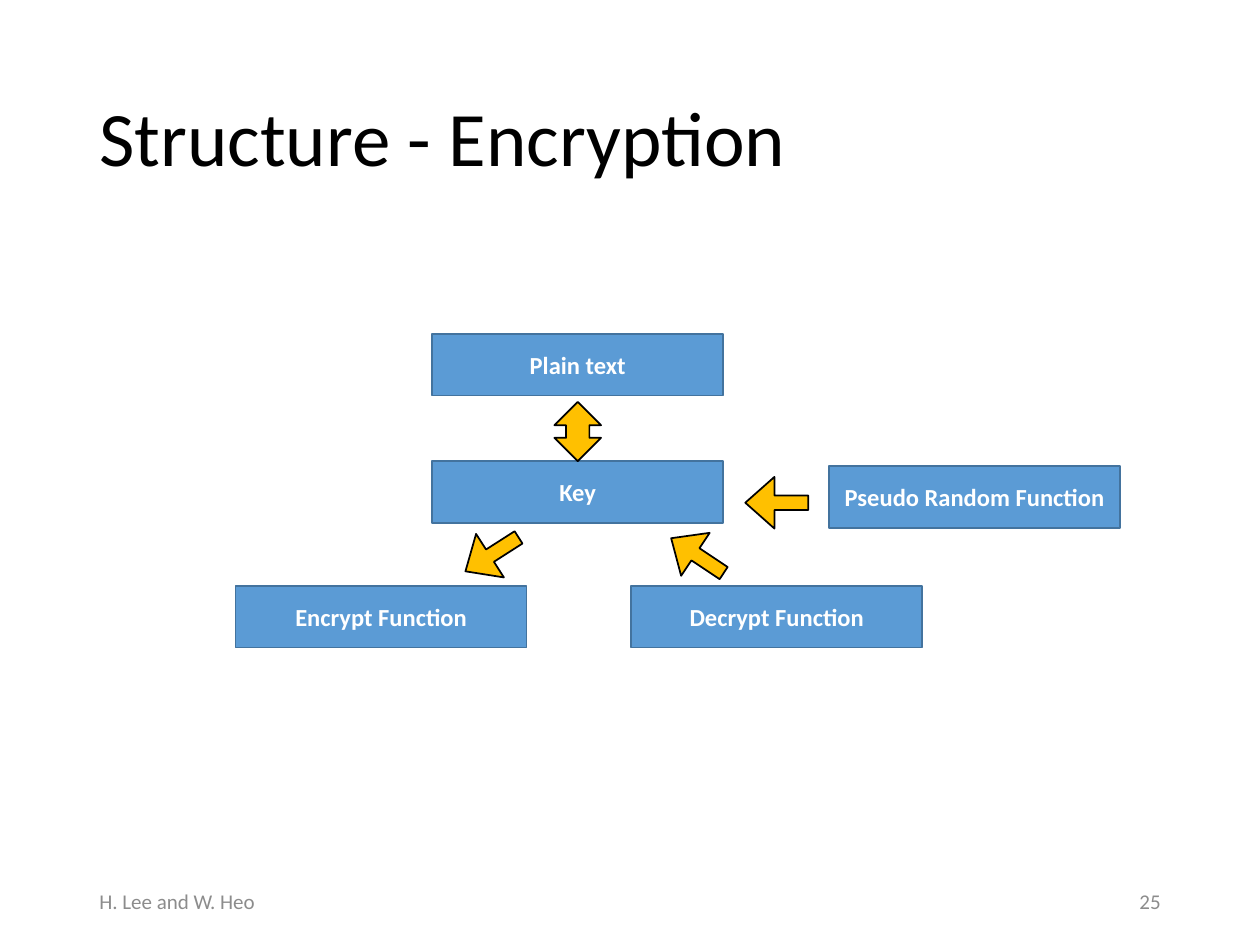
from dataclasses import dataclass

from pptx import Presentation
from pptx.dml.color import RGBColor
from pptx.enum.shapes import MSO_SHAPE
from pptx.enum.text import MSO_ANCHOR, PP_ALIGN
from pptx.util import Inches, Pt

RECTANGLE = MSO_SHAPE.RECTANGLE
DOWN_ARROW = MSO_SHAPE.DOWN_ARROW
LEFT_RIGHT_ARROW = MSO_SHAPE.LEFT_RIGHT_ARROW
MIDDLE = MSO_ANCHOR.MIDDLE
LEFT, CENTER, RIGHT = PP_ALIGN.LEFT, PP_ALIGN.CENTER, PP_ALIGN.RIGHT

FONT = "Calibri"
BLACK, WHITE, GRAY = "000000", "FFFFFF", "8C8C8C"
BLUE, DARK_BLUE, AMBER = "5B9BD5", "43739E", "FFC000"
BLOCK_WIDTH, BLOCK_HEIGHT = 2.31, 0.49
MARGIN = 0.69
FOOTER_TOP, FOOTER_HEIGHT = 6.95, 0.4


@dataclass
class Block:
    text: str
    left: float
    top: float


@dataclass
class Arrow:
    left: float
    top: float
    rotation: float
    kind: int = DOWN_ARROW
    width: float = 0.41
    height: float = 0.5
    adjustments: tuple = (0.283, 0.563)


@dataclass
class Label:
    text: str
    left: float
    top: float
    width: float
    height: float
    size: int
    color: str
    align: int = LEFT
    line_spacing: float = 1.0


BLOCKS = [
    Block("Plain text", 3.43, 2.65),
    Block("Key", 3.43, 3.66),
    Block("Encrypt Function", 1.87, 4.65),
    Block("Decrypt Function", 5.01, 4.65),
    Block("Pseudo Random Function", 6.58, 3.7),
]

ARROWS = [
    Arrow(5.96, 3.74, 90),
    Arrow(3.7, 4.15, 57.4),
    Arrow(5.33, 4.16, 123.6),
    Arrow(4.35, 3.24, 90, LEFT_RIGHT_ARROW, 0.47, 0.37, ()),
]

LABELS = [
    Label("Structure - Encryption", MARGIN, 0.4, 8.62, 1.45, 44, BLACK,
          line_spacing=0.9),
    Label("H. Lee and W. Heo", MARGIN, FOOTER_TOP, 3.38, FOOTER_HEIGHT, 12, GRAY),
    Label("25", 7.06, FOOTER_TOP, 2.25, FOOTER_HEIGHT, 12, GRAY, RIGHT),
]


def rgb(color: str) -> RGBColor:
    return RGBColor.from_string(color)


def write(shape, text: str, size: int, color: str, align: int, bold: bool = False):
    """Fill a shape with one middle-anchored paragraph and return it."""
    frame = shape.text_frame
    frame.word_wrap = True
    frame.vertical_anchor = MIDDLE
    para = frame.paragraphs[0]
    para.text = text
    para.alignment = align
    para.font.name = FONT
    para.font.size = Pt(size)
    para.font.bold = bold
    para.font.color.rgb = rgb(color)
    return para


def add_outlined(page, kind: int, left: float, top: float, width: float,
                 height: float, fill: str, line: str):
    shape = page.shapes.add_shape(
        kind, Inches(left), Inches(top), Inches(width), Inches(height))
    shape.shadow.inherit = False
    shape.fill.solid()
    shape.fill.fore_color.rgb = rgb(fill)
    shape.line.color.rgb = rgb(line)
    shape.line.width = Pt(1)
    return shape


def add_block(page, block: Block) -> None:
    box = add_outlined(page, RECTANGLE, block.left, block.top,
                       BLOCK_WIDTH, BLOCK_HEIGHT, BLUE, DARK_BLUE)
    write(box, block.text, 14, WHITE, CENTER, bold=True)


def add_arrow(page, arrow: Arrow) -> None:
    shape = add_outlined(page, arrow.kind, arrow.left, arrow.top,
                         arrow.width, arrow.height, AMBER, BLACK)
    shape.rotation = arrow.rotation
    for index, value in enumerate(arrow.adjustments):
        shape.adjustments[index] = value


def add_label(page, label: Label) -> None:
    box = page.shapes.add_textbox(Inches(label.left), Inches(label.top),
                                  Inches(label.width), Inches(label.height))
    para = write(box, label.text, label.size, label.color, label.align)
    para.line_spacing = label.line_spacing


def main() -> None:
    deck = Presentation()
    deck.slide_width, deck.slide_height = Inches(10), Inches(7.5)
    page = deck.slides.add_slide(deck.slide_layouts[6])

    # Title and footer
    for label in LABELS:
        add_label(page, label)

    # Encryption diagram
    for block in BLOCKS:
        add_block(page, block)
    for arrow in ARROWS:
        add_arrow(page, arrow)

    deck.save("out.pptx")


if __name__ == "__main__":
    main()
